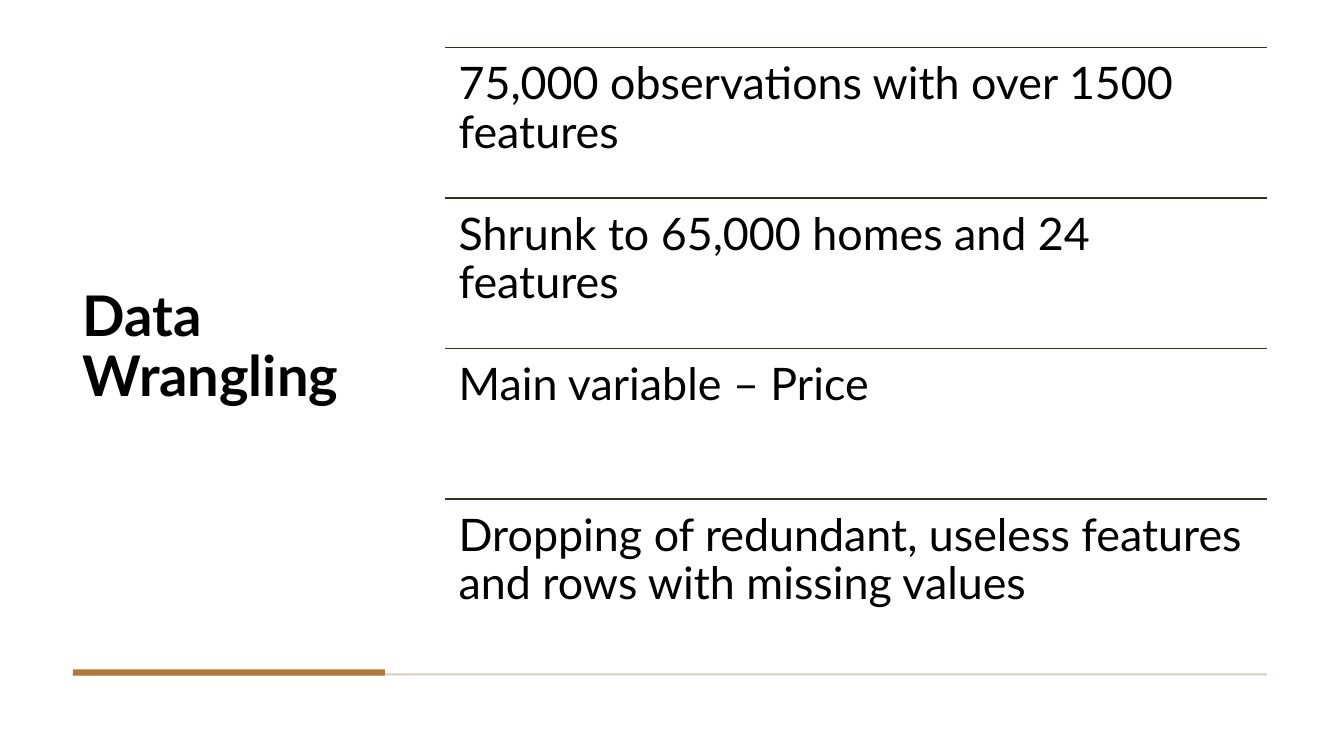
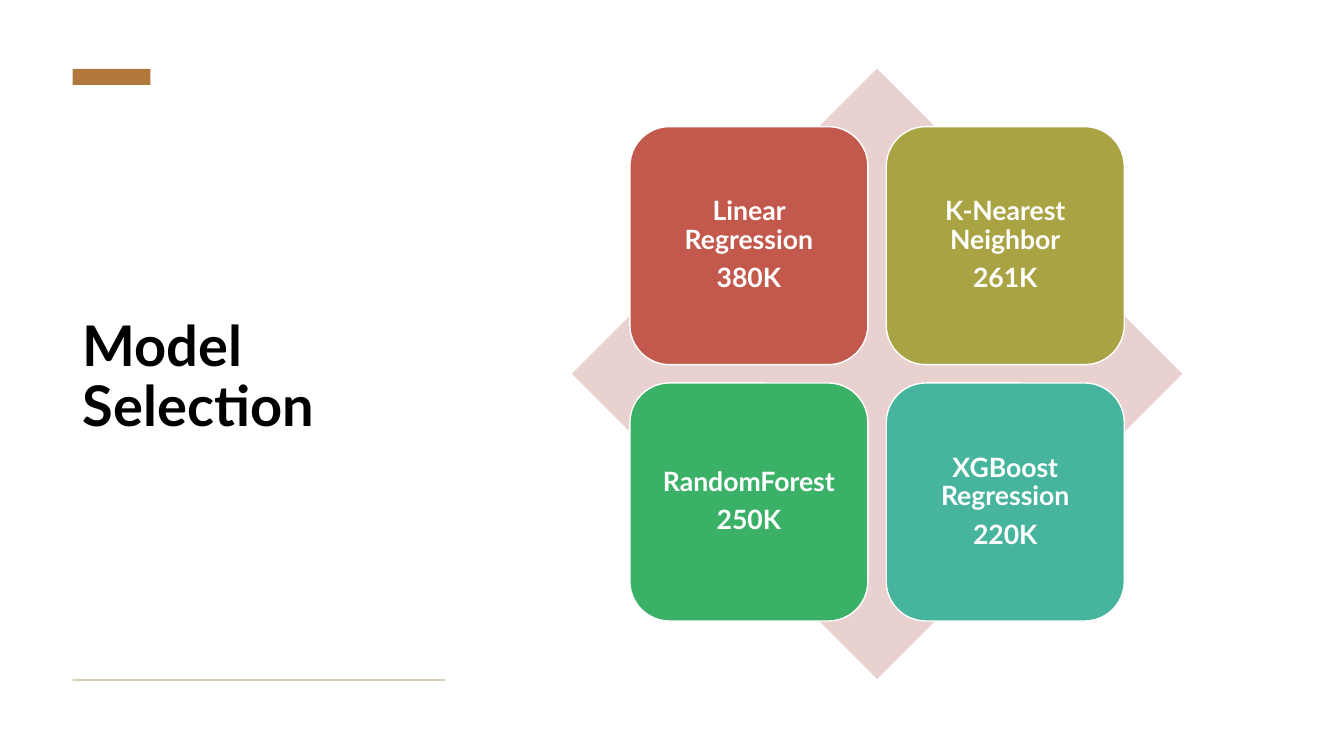
from pptx import Presentation
from pptx.dml.color import RGBColor
from pptx.enum.shapes import MSO_CONNECTOR as Connector, MSO_SHAPE as Preset
from pptx.enum.text import MSO_ANCHOR as Anchor, MSO_AUTO_SIZE as AutoSize, PP_ALIGN as Align
from pptx.oxml.ns import qn
from pptx.util import Pt
from lxml.etree import SubElement

FONT = "Lato"
LEFT = 52
COLORS = {
    "background": "FFFFFF",
    "text": "000000",
    "accent": "B1783B",
    "rule": "D9CDBC",
    "divider": "392F20",
    "diamond": "E9D1D0",
    "red": "C3594D",
    "olive": "AAA343",
    "green": "3BB168",
    "teal": "47B49E",
    "white": "FFFFFF",
}
FINDINGS = [
    "75,000 observations with over 1500 features",
    "Shrunk to 65,000 homes and 24 features",
    "Main variable – Price",
    "Dropping of redundant, useless features and rows with missing values",
]
MODELS = [
    ("Linear Regression", "380K", "red"),
    ("K-Nearest Neighbor", "261K", "olive"),
    ("RandomForest", "250K", "green"),
    ("XGBoost Regression", "220K", "teal"),
]


def color(name):
    return RGBColor.from_string(COLORS[name])


def points(*lengths):
    return [Pt(length) for length in lengths]


def write(shape, text, size, color_name, bold=False, align=Align.LEFT,
          anchor=Anchor.TOP, inset=None, space_after=0):
    frame = shape.text_frame
    frame.text = text
    frame.word_wrap = True
    frame.auto_size = AutoSize.NONE
    frame.vertical_anchor = anchor
    if inset is not None:
        frame.margin_left = frame.margin_right = Pt(inset)
        frame.margin_top = frame.margin_bottom = Pt(inset)
    for paragraph in frame.paragraphs:
        paragraph.alignment = align
        paragraph.line_spacing = 0.9
        paragraph.space_before = Pt(0)
        paragraph.space_after = Pt(space_after)
        for run in paragraph.runs:
            run.font.name = FONT
            run.font.size = Pt(size)
            run.font.bold = bold
            run.font.color.rgb = color(color_name)


def add_filled(slide, preset, box, fill, outline=None):
    shape = slide.shapes.add_shape(preset, *points(*box))
    shape.shadow.inherit = False
    shape.fill.solid()
    shape.fill.fore_color.rgb = color(fill)
    if outline:
        shape.line.color.rgb = color(outline)
        shape.line.width = Pt(1)
    else:
        shape.line.fill.background()
    return shape


def add_divider(slide, left, top, width):
    line = slide.shapes.add_connector(
        Connector.STRAIGHT, *points(left, top, left + width, top))
    line.line.color.rgb = color("divider")
    line.line.width = Pt(1)
    SubElement(line._element.spPr, qn("a:effectLst"))


def add_titled_slide(presentation, title, title_box, rule_box, accent_box):
    slide = presentation.slides.add_slide(presentation.slide_layouts[5])
    slide.background.fill.solid()
    slide.background.fill.fore_color.rgb = color("background")
    placeholder = slide.shapes.title
    (placeholder.left, placeholder.top,
     placeholder.width, placeholder.height) = points(*title_box)
    write(placeholder, title, 40, "text", bold=True, anchor=Anchor.MIDDLE)
    add_filled(slide, Preset.RECTANGLE, rule_box, "rule")
    add_filled(slide, Preset.RECTANGLE, accent_box, "accent")
    return slide


def add_ruled_list(slide, box, items):
    left, top, width, height = box
    row_height = height / len(items)
    for index, item in enumerate(items):
        row_top = top + index * row_height
        add_divider(slide, left, row_top, width)
        text_box = slide.shapes.add_textbox(*points(left, row_top, width, row_height))
        write(text_box, item, 32, "text", inset=9.6)


def add_model_matrix(slide, box, models):
    left, top, side, _ = box
    tile = side * 0.39
    gap = side * 0.03
    margin = (side - 2 * tile - gap) / 2
    add_filled(slide, Preset.DIAMOND, box, "diamond")
    for index, (name, score, fill) in enumerate(models):
        row, column = divmod(index, 2)
        tile_box = (left + margin + column * (tile + gap),
                    top + margin + row * (tile + gap), tile, tile)
        shape = add_filled(slide, Preset.ROUNDED_RECTANGLE, tile_box, fill, "white")
        write(shape, f"{name}\n{score}", 19, "white", bold=True,
              align=Align.CENTER, anchor=Anchor.MIDDLE, inset=6, space_after=6.65)


def build_data_wrangling(presentation):
    slide = add_titled_slide(
        presentation, "Data Wrangling",
        title_box=(LEFT, 34, 223, 430),
        rule_box=(LEFT, 481, 853, 1.4),
        accent_box=(LEFT, 478.2, 223, 4.4))
    add_ruled_list(slide, (318, 34, 587, 430), FINDINGS)


def build_model_selection(presentation):
    slide = add_titled_slide(
        presentation, "Model Selection",
        title_box=(LEFT, 75.6, 266, 389.5),
        rule_box=(LEFT, 485, 266, 1.4),
        accent_box=(LEFT, 49.2, 55.5, 11.5))
    add_model_matrix(slide, (408.5, 49, 436, 436), MODELS)


def main():
    presentation = Presentation()
    presentation.slide_width = Pt(960)
    presentation.slide_height = Pt(540)
    build_data_wrangling(presentation)
    build_model_selection(presentation)
    presentation.save("out.pptx")


if __name__ == "__main__":
    main()
